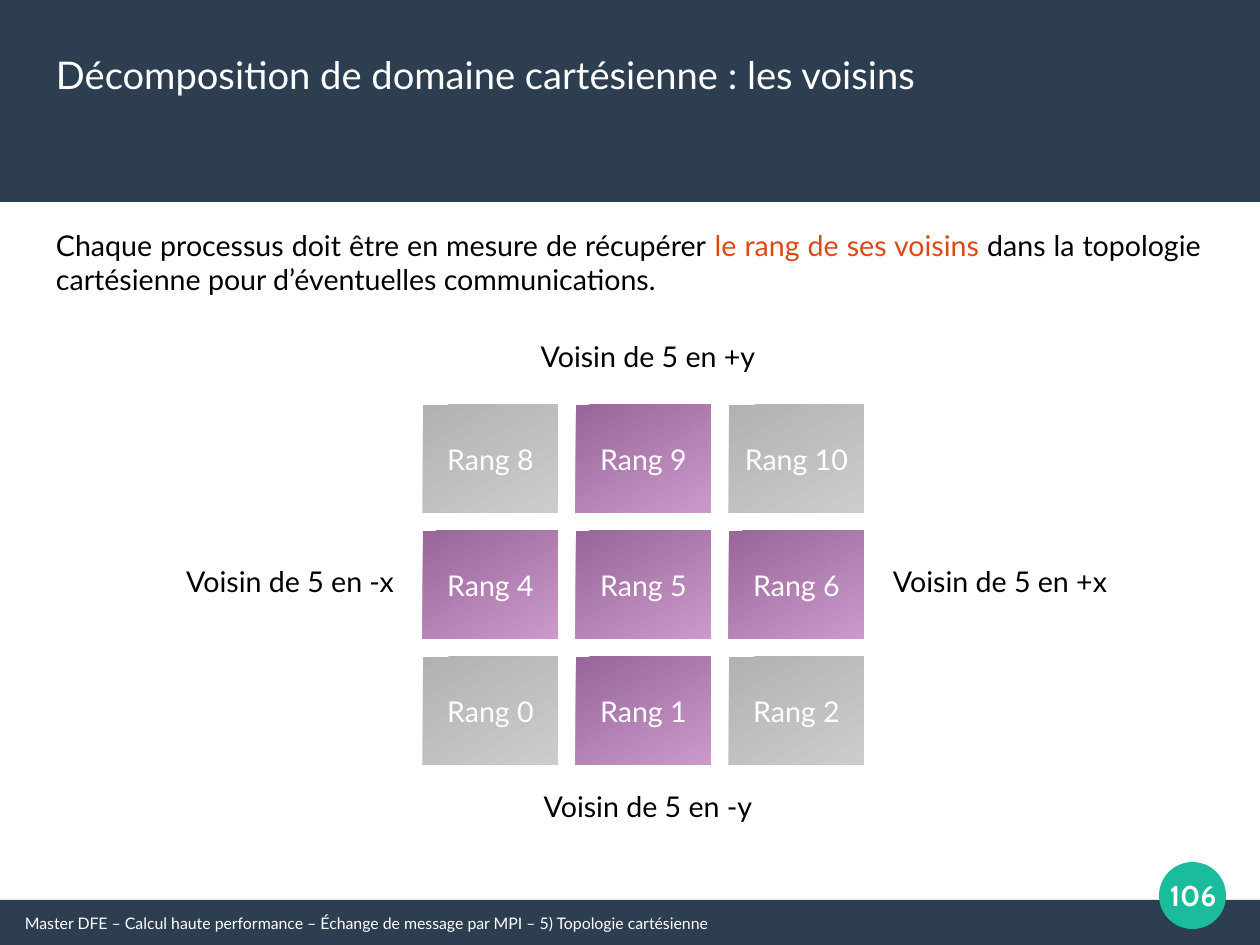
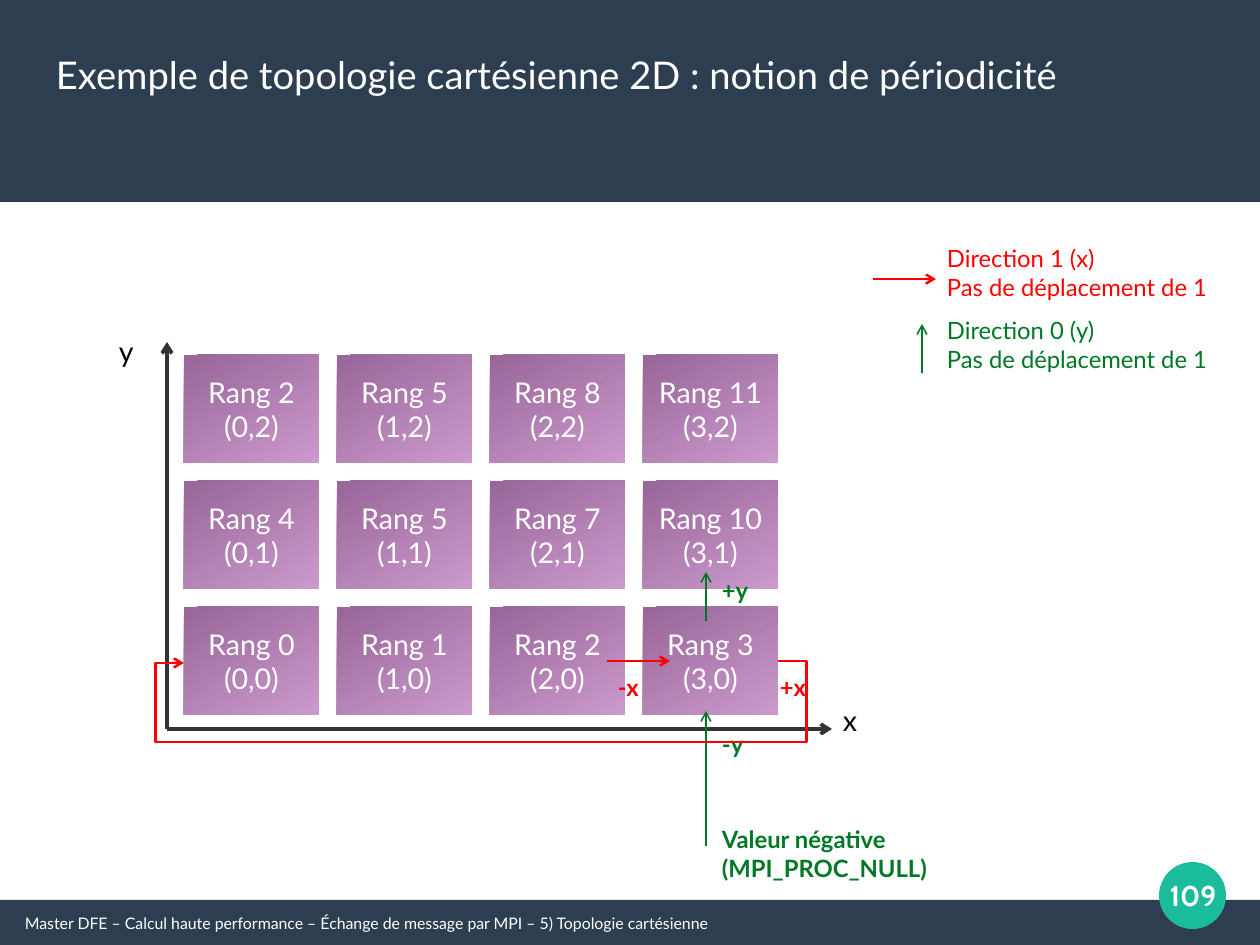
from lxml import etree
from pptx import Presentation
from pptx import util as u
from pptx.dml.color import RGBColor
from pptx.enum import shapes, text
from pptx.oxml import ns

SCALE = 8000
WIDE, HIGH = 1260, 945
NAVY = RGBColor(0x2C, 0x3E, 0x50)
TEAL = RGBColor(0x1A, 0xBC, 0x9C)
WHITE = RGBColor(0xFF, 0xFF, 0xFF)
BLACK = RGBColor(0x00, 0x00, 0x00)
DARK = RGBColor(0x33, 0x33, 0x33)
RED = RGBColor(0xFF, 0x00, 0x00)
GREEN = RGBColor(0x00, 0x78, 0x26)
RUST = RGBColor(0xDD, 0x48, 0x14)
PLUM = (RGBColor(0x99, 0x66, 0x99), RGBColor(0xCC, 0x99, 0xCC))
GREY = (RGBColor(0xB2, 0xB2, 0xB2), RGBColor(0xCC, 0xCC, 0xCC))

LEFT, MID, RIGHT, FULL = (text.PP_ALIGN.LEFT, text.PP_ALIGN.CENTER,
                          text.PP_ALIGN.RIGHT, text.PP_ALIGN.JUSTIFY)
TOP, CORE = text.MSO_ANCHOR.TOP, text.MSO_ANCHOR.MIDDLE
RECT, OVAL = shapes.MSO_SHAPE.RECTANGLE, shapes.MSO_SHAPE.OVAL

HEAD = {"size": u.Pt(24), "name": "Lato", "bold": False}
BODY = {"size": u.Pt(18), "name": "Lato", "bold": False}
NOTE = {"size": u.Pt(15), "name": "Lato", "bold": False}
BOLD = {**NOTE, "bold": True}
FOOT = {"size": u.Pt(10), "name": "Lato", "bold": False}
PAGE = {"size": u.Pt(18), "name": "Cabin", "bold": True}

CELL_W, CELL_H = 135, 108
STEP_X, STEP_Y = 153, 126


def px(*nums):
    return [u.Emu(num * SCALE) for num in nums]


def apply(item, vals):
    for key, val in vals.items():
        setattr(item, key, val)


class Deck:
    def __init__(self):
        self.prs = Presentation()
        self.prs.slide_width, self.prs.slide_height = px(WIDE, HIGH)
        self.slide = None

    def new(self, kind, title, page):
        first = self.slide is None
        self.slide = self.prs.slides.add_slide(self.prs.slide_layouts[kind])
        if first:
            self.share()
        self.hold(0, (45, 45, 1080, 97), [[(title, WHITE)]], HEAD, LEFT)
        self.label(page, (1148, 850, 90, 90), PAGE, WHITE, MID, CORE, False)

    def share(self):
        parts = [
            self.shape(RECT, (0, 900, WIDE, 45), NAVY),
            self.shape(RECT, (0, 0, WIDE, 202), NAVY),
            self.shape(OVAL, (1159, 862, 67, 67), TEAL),
            self.label("Master DFE – Calcul haute performance – Échange de message "
                       "par MPI – 5) Topologie cartésienne",
                       (14, 908, 1080, 33), FOOT, WHITE),
        ]
        tree = self.prs.slide_master.shapes.element
        for pos, part in enumerate(parts):
            part.element.xpath(".//p:cNvPr")[0].set("id", str(20 + pos))
            tree.insert(2 + pos, part.element)

    def flow(self, frame, paras, fmt, align, anchor=TOP, inset=True):
        side, edge = px(11, 6) if inset else (0, 0)
        apply(frame, {"word_wrap": True, "auto_size": text.MSO_AUTO_SIZE.NONE,
                      "vertical_anchor": anchor, "margin_left": side,
                      "margin_right": side, "margin_top": edge,
                      "margin_bottom": edge})
        for pos, runs in enumerate(paras):
            para = frame.add_paragraph() if pos else frame.paragraphs[0]
            para.alignment = align
            for words, color in runs:
                run = para.add_run()
                run.text = words
                apply(run.font, fmt)
                run.font.color.rgb = color

    def hold(self, idx, box, paras, fmt, align):
        item = self.slide.placeholders[idx]
        apply(item, dict(zip(("left", "top", "width", "height"), px(*box))))
        self.flow(item.text_frame, paras, fmt, align)
        for para in item.text_frame.paragraphs:
            para.space_before = u.Pt(0)
            props = para._p.get_or_add_pPr()
            props.set("marL", "0")
            props.set("indent", "0")
            etree.SubElement(props, ns.qn("a:buNone"))

    def label(self, words, box, fmt, color, align=LEFT, anchor=TOP, inset=True):
        item = self.slide.shapes.add_textbox(*px(*box))
        paras = [[(line, color)] for line in words.split("\n")]
        self.flow(item.text_frame, paras, fmt, align, anchor, inset)
        return item

    def shape(self, kind, box, color):
        item = self.slide.shapes.add_shape(kind, *px(*box))
        item.shadow.inherit = False
        item.line.fill.background()
        if isinstance(color, RGBColor):
            item.fill.solid()
            item.fill.fore_color.rgb = color
        else:
            item.fill.gradient()
            item.fill.gradient_angle = 300
            for stop, tone in zip(item.fill.gradient_stops, color):
                stop.color.rgb = tone
        return item

    def grid(self, left, top, rows):
        for row, cells in enumerate(rows):
            for col, (words, color) in enumerate(cells):
                box = (left + col * STEP_X, top + row * STEP_Y, CELL_W, CELL_H)
                item = self.shape(RECT, box, color)
                paras = [[(line, WHITE)] for line in words.split("\n")]
                self.flow(item.text_frame, paras, BODY, MID, CORE)
                item.text_frame.word_wrap = False

    def arrow(self, ends, color, width, bends=()):
        kind = shapes.MSO_CONNECTOR.ELBOW if bends else shapes.MSO_CONNECTOR.STRAIGHT
        item = self.slide.shapes.add_connector(kind, *px(*ends))
        item.line.color.rgb = color
        item.line.width = u.Pt(width)
        props = item.element.spPr
        etree.SubElement(props.find(ns.qn("a:ln")), ns.qn("a:tailEnd"), type="arrow")
        etree.SubElement(props, ns.qn("a:effectLst"))
        if bends:
            geom = props.find(ns.qn("a:prstGeom"))
            geom.set("prst", f"bentConnector{len(bends) + 2}")
            guides = geom.find(ns.qn("a:avLst"))
            for pos, bend in enumerate(bends, 1):
                etree.SubElement(guides, ns.qn("a:gd"), name=f"adj{pos}",
                                 fmla=f"val {bend}")


def near(deck):
    deck.new(1, "Décomposition de domaine cartésienne : les voisins", "106")
    deck.hold(1, (45, 222, 1167, 115), [[
        ("Chaque processus doit être en mesure de récupérer", BLACK),
        (" le rang de ses voisins", RUST),
        (" dans la topologie cartésienne pour d’éventuelles communications.", BLACK),
    ]], BODY, FULL)
    ranks = ((8, 9, 10), (4, 5, 6), (0, 1, 2))
    deck.grid(423, 405, [
        [(f"Rang {rank}", PLUM if 1 in (row, col) else GREY)
         for col, rank in enumerate(line)] for row, line in enumerate(ranks)])
    for axis, left, top, align in (("+y", 495, 333, MID), ("-y", 495, 783, MID),
                                   ("-x", 99, 558, RIGHT), ("+x", 882, 558, LEFT)):
        deck.label(f"Voisin de 5 en {axis}", (left, top, 306, 50), BODY, BLACK, align)


def cycle(deck):
    deck.new(5, "Exemple de topologie cartésienne 2D : notion de périodicité", "109")
    ranks = ((2, 5, 8, 11), (4, 5, 7, 10), (0, 1, 2, 3))
    deck.grid(184, 355, [
        [(f"Rang {rank}\n({col},{2 - row})", PLUM) for col, rank in enumerate(line)]
        for row, line in enumerate(ranks)])
    for words, left, top in (("y", 108, 328), ("x", 832, 697)):
        deck.label(words, (left, top, 45, 50), BODY, BLACK)
    for axis, left, top, color in (("+y", 711, 570, GREEN), ("-y", 711, 724, GREEN),
                                   ("+x", 769, 667, RED), ("-x", 607, 667, RED)):
        deck.label(axis, (left, top, 72, 43), BOLD, color)
    for words, top, color in (("1 (x)", 238, RED), ("0 (y)", 310, GREEN)):
        deck.label(f"Direction {words}\nPas de déplacement de 1",
                   (936, top, 290, 77), NOTE, color)
    for ends in ((167, 729, 832, 729), (167, 729, 167, 342)):
        deck.arrow(ends, DARK, 2.3)
    for ends in ((706, 846, 706, 711), (706, 621, 706, 572), (922, 373, 922, 324)):
        deck.arrow(ends, GREEN, 1)
    for ends in ((607, 661, 670, 661), (873, 279, 936, 279)):
        deck.arrow(ends, RED, 1.5)
    deck.arrow((778, 661, 184, 663), RED, 1.5, (-4800, 4100000, 104800))
    deck.label("Valeur négative (MPI_PROC_NULL)", (711, 819, 270, 75), BOLD, GREEN)


def main():
    deck = Deck()
    near(deck)
    cycle(deck)
    deck.prs.save("out.pptx")


if __name__ == "__main__":
    main()
